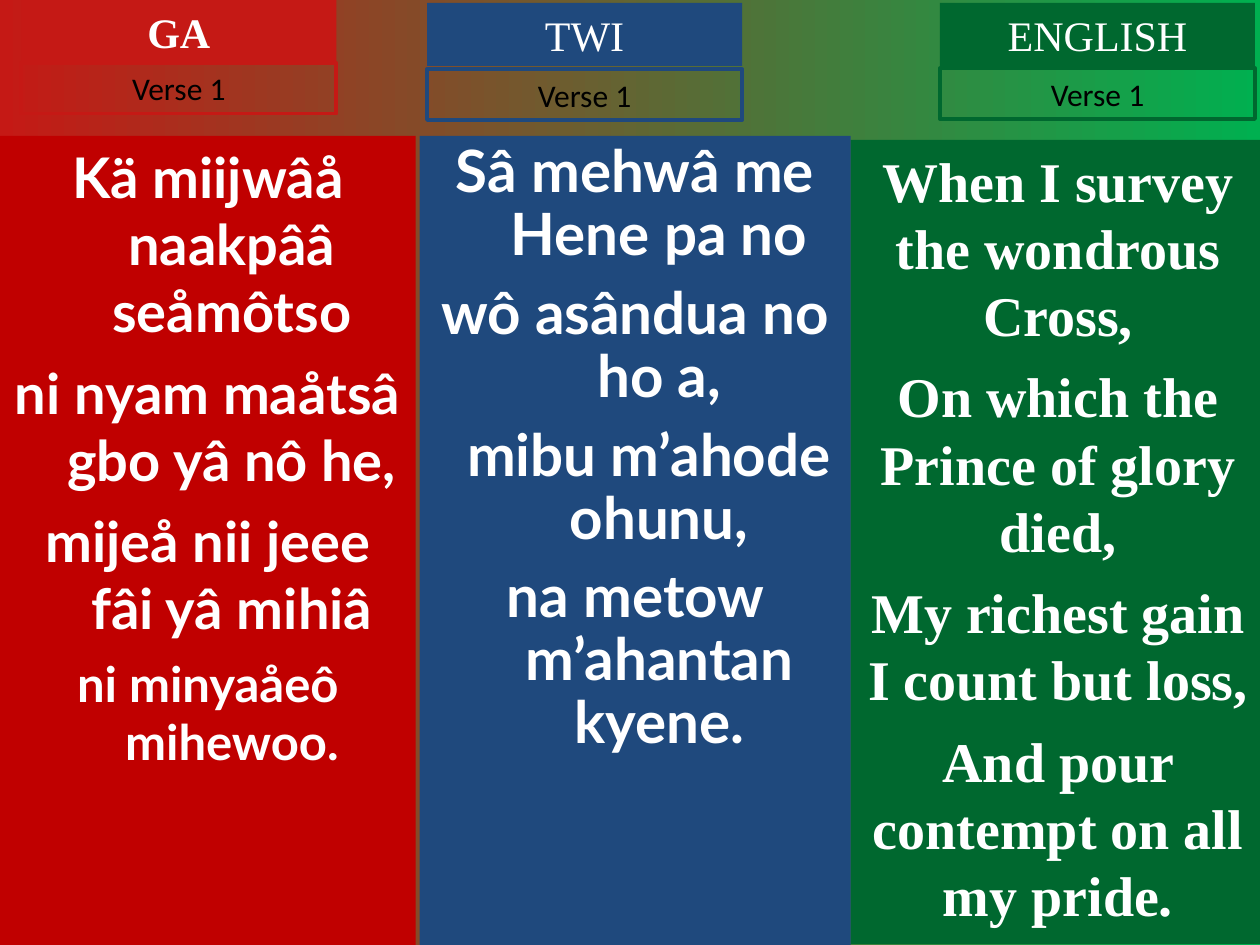
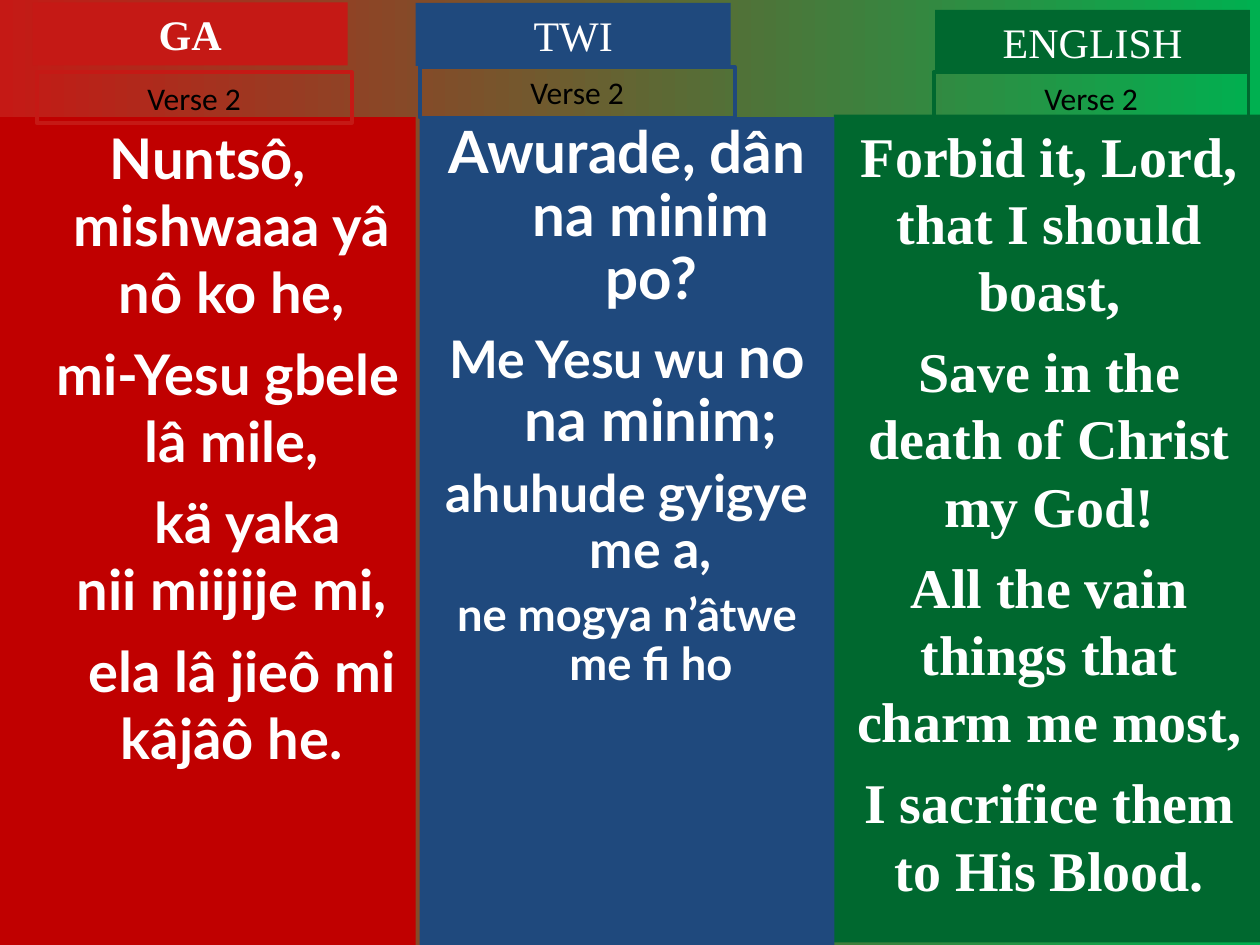
import dataclasses

import pptx
import pptx.dml.color
import pptx.enum.text
import pptx.util
from pptx.util import Cm

COLORS = {
    "gradient_start": "C51915",
    "gradient_end": "00B050",
    "ga_heading": "C51915",
    "ga": "C00000",
    "twi": "1F497D",
    "english": "00682F",
    "light": "FFFFFF",
    "dark": "000000",
}
HEADING_SIZE = (6.35, 1.27)
VERSE_SIZE = (6.35, 1.02)
HANGING = 0.97


@dataclasses.dataclass
class Language:
    name: str
    heading_color: str
    panel_color: str
    stanza_slot: int
    font: str
    hanging: float = 0
    line_spacing: float = 1.0
    bold_heading: bool = False


@dataclasses.dataclass
class Line:
    runs: list
    before: int = 8
    start: float = 0


LANGUAGES = [
    Language("GA", "ga_heading", "ga", 2, "Lato", HANGING, bold_heading=True),
    Language("TWI", "twi", "twi", 4, "Lato", HANGING, 0.9),
    Language("ENGLISH", "english", "english", 1, "Times New Roman"),
]


def line(text, size=32, before=8, start=0):
    return Line([(text, size)], before, start)


VERSES = [
    {
        "label": "Verse 1",
        "headings": [(0.43, 0), (8.61, 0.06), (18.95, 0.06)],
        "labels": [(0.43, 1.27), (8.61, 1.4), (18.95, 1.38)],
        "panels": [(0, 2.74, 8.38, 16.31), (8.46, 2.74, 8.69, 16.31),
                   (17.15, 2.82, 8.36, 16.21)],
        "stanzas": [
            [
                line("Kä miijwâå naakpââ seåmôtso"),
                line("ni nyam maåtsâ gbo yâ nô he,"),
                line("mijeå nii jeee fâi yâ mihiâ"),
                line("ni minyaåeô mihewoo.", 28, 7),
            ],
            [
                line("Sâ mehwâ me Hene pa no", 33.3, 9),
                line("wô asândua no ho a,", 33.3, 9),
                line("mibu m’ahode ohunu,", 33.3, 9, 0.56),
                line("na metow m’ahantan kyene.", 33.3, 9),
            ],
            [
                line("When I survey the wondrous Cross,"),
                line("On which the Prince of glory died,"),
                line("My richest gain I count but loss,"),
                line("And pour contempt on all my pride."),
            ],
        ],
    },
    {
        "label": "Verse 2",
        "headings": [(0.66, 0.05), (8.38, 0.06), (18.85, 0.2)],
        "labels": [(0.74, 1.46), (8.46, 1.35), (18.82, 1.46)],
        "panels": [(0, 2.36, 8.38, 16.69), (8.46, 2.36, 8.36, 16.69),
                   (16.81, 2.31, 8.69, 16.69)],
        "stanzas": [
            [
                line("Nuntsô, mishwaaa yâ nô ko he,"),
                line("mi-Yesu gbele lâ mile,", start=0.82),
                line("kä yaka\vnii miijije mi,", start=1.62),
                line("ela lâ jieô mi kâjâô he.", start=1.38),
            ],
            [
                line("Awurade, dân na minim po?", 33.3, 9),
                Line([("Me Yesu wu ", 29.6), ("no na minim;", 33.3)], 9),
                line("ahuhude gyigye me a,", 29.6, 8),
                line("ne mogya n’âtwe me fi ho", 25.9, 7),
            ],
            [
                line("Forbid it, Lord, that I should boast,"),
                line("Save in the death of Christ my God!"),
                line("All the vain things that charm me most,"),
                line("I sacrifice them to His Blood."),
            ],
        ],
    },
]


def rgb(name):
    return pptx.dml.color.RGBColor.from_string(COLORS[name])


def place(region, left, top, width, height):
    region.left, region.top = Cm(left), Cm(top)
    region.width, region.height = Cm(width), Cm(height)
    frame = region.text_frame
    frame.word_wrap = True
    frame.auto_size = pptx.enum.text.MSO_AUTO_SIZE.NONE
    frame.vertical_anchor = pptx.enum.text.MSO_ANCHOR.TOP
    frame.margin_left = frame.margin_right = Cm(0.25)
    frame.margin_top = frame.margin_bottom = Cm(0.13)
    return frame


def format_paragraph(paragraph, font, color, bold, size=None):
    paragraph.alignment = pptx.enum.text.PP_ALIGN.CENTER
    paragraph.font.name = font
    paragraph.font.bold = bold
    paragraph.font.color.rgb = rgb(color)
    if size:
        paragraph.font.size = pptx.util.Pt(size)


def fill_region(region, color):
    region.fill.solid()
    region.fill.fore_color.rgb = rgb(color)


def add_box(slide):
    return slide.shapes.add_textbox(0, 0, Cm(1), Cm(1))


def build_heading(region, language, position):
    frame = place(region, *position, *HEADING_SIZE)
    fill_region(region, language.heading_color)
    frame.text = language.name
    format_paragraph(frame.paragraphs[0], "Times New Roman", "light",
                     language.bold_heading, 24)


def build_verse_label(region, language, position, label):
    frame = place(region, *position, *VERSE_SIZE)
    region.line.color.rgb = rgb(language.heading_color)
    region.line.width = pptx.util.Pt(2.25)
    frame.text = label
    format_paragraph(frame.paragraphs[0], "Calibri", "dark", False, 18)


def build_stanza(region, language, box, stanza):
    frame = place(region, *box)
    fill_region(region, language.panel_color)
    for index, verse_line in enumerate(stanza):
        paragraph = frame.paragraphs[0] if index == 0 else frame.add_paragraph()
        properties = paragraph._p.get_or_add_pPr()
        properties.set("marL", str(Cm(language.hanging)))
        properties.set("indent", str(Cm(verse_line.start - language.hanging)))
        properties.append(pptx.oxml.parse_xml(
            '<a:buNone xmlns:a="http://schemas.openxmlformats.org/drawingml/2006/main"/>'))
        paragraph.line_spacing = language.line_spacing
        paragraph.space_before = pptx.util.Pt(verse_line.before if index else 0)
        paragraph.space_after = pptx.util.Pt(0)
        sizes = {size for _, size in verse_line.runs}
        shared_size = sizes.pop() if len(sizes) == 1 else None
        format_paragraph(paragraph, language.font, "light", True, shared_size)
        for text, size in verse_line.runs:
            for part_index, part in enumerate(text.split("\v")):
                if part_index:
                    paragraph.add_line_break()
                run = paragraph.add_run()
                run.text = part
                if not shared_size:
                    run.font.size = pptx.util.Pt(size)


def build_verse_slide(presentation, verse):
    slide = presentation.slides.add_slide(presentation.slide_layouts[4])
    slots = {slot.placeholder_format.idx: slot for slot in slide.placeholders}
    spare = slots[3]._element
    spare.getparent().remove(spare)
    columns = zip(LANGUAGES, verse["panels"], verse["headings"],
                  verse["labels"], verse["stanzas"])
    for language, panel, heading, label, stanza in columns:
        build_stanza(slots[language.stanza_slot], language, panel, stanza)
        title = slots[0] if language is LANGUAGES[0] else add_box(slide)
        build_heading(title, language, heading)
        build_verse_label(add_box(slide), language, label, verse["label"])


def set_background(master):
    fill = master.background.fill
    fill.gradient()
    fill.gradient_angle = 0
    for stop, color in zip(fill.gradient_stops, ("gradient_start", "gradient_end")):
        stop.color.rgb = rgb(color)


def main():
    presentation = pptx.Presentation()
    presentation.slide_width, presentation.slide_height = Cm(25.4), Cm(19.05)
    set_background(presentation.slide_master)
    for verse in VERSES:
        build_verse_slide(presentation, verse)
    presentation.save("out.pptx")


if __name__ == "__main__":
    main()
